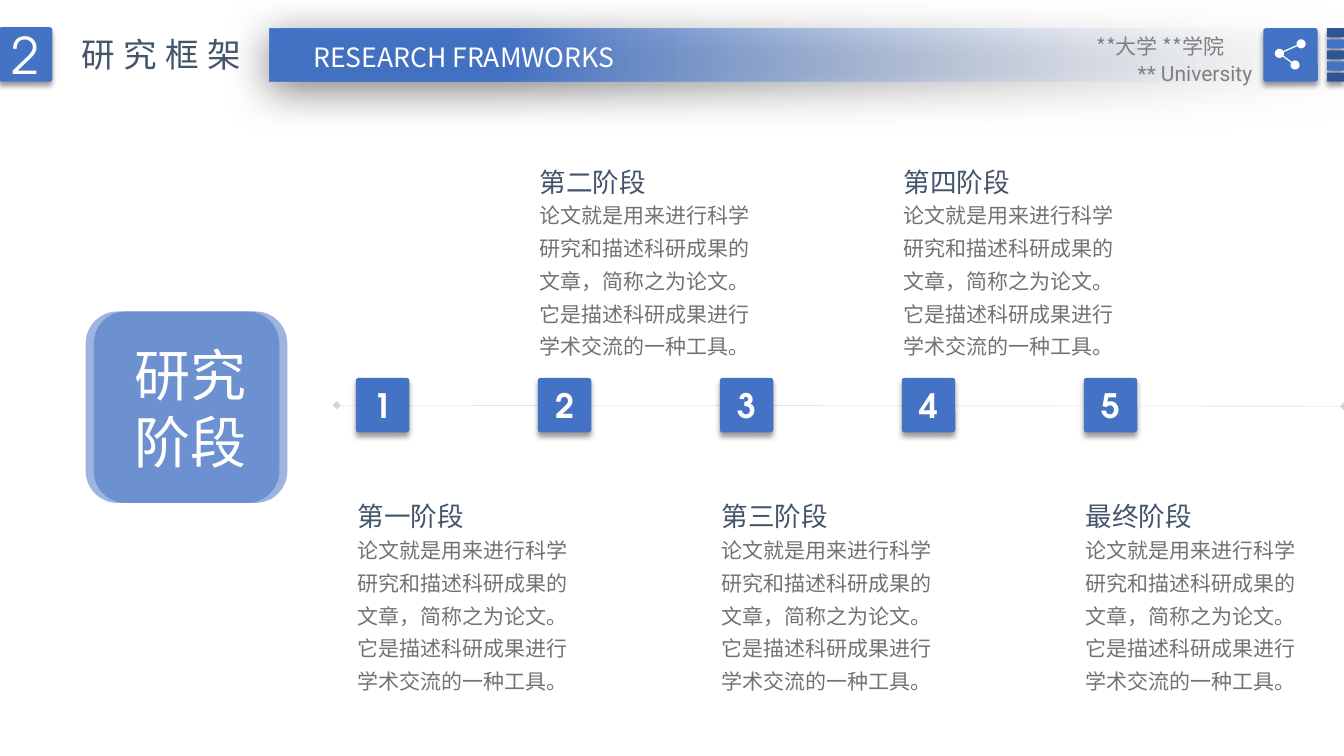
from math import atan2, cos, degrees, radians, sin

from lxml import etree
from pptx import Presentation
from pptx.dml.color import RGBColor
from pptx.enum.shapes import MSO_CONNECTOR, MSO_SHAPE
from pptx.enum.text import MSO_ANCHOR, MSO_AUTO_SIZE, PP_ALIGN
from pptx.oxml import parse_xml
from pptx.oxml.ns import qn
from pptx.util import Inches, Pt

RECTANGLE, ROUNDED = MSO_SHAPE.RECTANGLE, MSO_SHAPE.ROUNDED_RECTANGLE
LEFT, CENTER, RIGHT = PP_ALIGN.LEFT, PP_ALIGN.CENTER, PP_ALIGN.RIGHT
TOP, MIDDLE = MSO_ANCHOR.TOP, MSO_ANCHOR.MIDDLE
DRAWING = "http://schemas.openxmlformats.org/drawingml/2006/main"

# Content
SECTION_NUMBER = "2"
SECTION_TITLE = "研究框架"
BANNER_TEXT = "RESEARCH FRAMWORKS"
SCHOOL = "**大学 **学院"
UNIVERSITY = "** University"
TOPIC = ["研究", "阶段"]
STAGES = ["第一阶段", "第二阶段", "第三阶段", "第四阶段", "最终阶段"]
STAGE_TEXT = ("论文就是用来进行科学研究和描述科研成果的文章，简称之为论文。"
              "它是描述科研成果进行学术交流的一种工具。")

# Style
CJK, ROBOTO, DIGITS = "Noto Sans CJK SC", "Roboto", "TeX Gyre Adventor"
BLUE, DARK_BLUE, SLATE = "4472C4", "2F5597", "44546A"
WARM_GRAY, GRAY, WHITE, BLACK = "767171", "808080", "FFFFFF", "000000"
SMALL_SHADOW = {"alpha": 40, "blur": 4, "distance": 3, "angle": 90}
BANNER_SHADOW = {"alpha": 50, "blur": 31, "distance": 6, "angle": 97}

# Layout in inches
BADGE_WIDTH, BADGE_HEIGHT = 0.53, 0.54
FIRST_BADGE, LAST_BADGE, BADGE_TOP = 3.53, 10.75, 3.75
TEXT_OFFSET = -0.08
HEADING_TOPS = [4.82, 1.5]
BODY_OFFSET = 0.39
BAR_TOP, BAR_PITCH, BAR_COUNT = 0.28, 0.11, 5
NODE_RADIUS, LINK_GAP = 0.045, 8
TOP_NODE, LEFT_NODE, BOTTOM_NODE = (12.905, 0.435), (12.69, 0.53), (12.845, 0.645)

presentation = Presentation()
presentation.slide_width, presentation.slide_height = Inches(13.33), Inches(7.5)
slide = presentation.slides.add_slide(presentation.slide_layouts[6])


def color(hex_code):
    return RGBColor.from_string(hex_code)


def set_alpha(fill, percent):
    """Make the solid fill inside an element partly transparent."""
    solid = fill.find(qn("a:solidFill"))
    etree.SubElement(solid[0], qn("a:alpha"), val=str(percent * 1000))


def write(shape, lines, *, size, font, ink, align=LEFT, anchor=TOP, bold=False,
          spacing=None, tracking=None):
    frame = shape.text_frame
    frame.vertical_anchor = anchor
    for index, line in enumerate(lines):
        paragraph = frame.add_paragraph() if index else frame.paragraphs[0]
        paragraph.alignment = align
        if spacing:
            paragraph.line_spacing = spacing
        run = paragraph.add_run()
        run.text = line
        run.font.size, run.font.bold, run.font.name = Pt(size), bold, font
        run.font.color.rgb = color(ink)
        properties = run.font._element
        etree.SubElement(properties, qn("a:ea"), typeface=font)
        if tracking:
            properties.set("spc", str(tracking * 100))


def add_text(text, left, top, width, height, wrap=False, **style):
    box = slide.shapes.add_textbox(Inches(left), Inches(top), Inches(width), Inches(height))
    box.text_frame.word_wrap = wrap
    box.text_frame.auto_size = MSO_AUTO_SIZE.SHAPE_TO_FIT_TEXT
    write(box, [text], **style)
    return box


def add_block(kind, left, top, width, height, fill=BLUE, corner=None, shadow=None):
    shape = slide.shapes.add_shape(kind, Inches(left), Inches(top), Inches(width), Inches(height))
    shape.fill.solid()
    shape.fill.fore_color.rgb = color(fill)
    shape.line.fill.background()
    shape.shadow.inherit = False
    if corner is not None:
        shape.adjustments[0] = corner
    if shadow:
        effects = shape._element.spPr.find(qn("a:effectLst"))
        outer = etree.SubElement(
            effects, qn("a:outerShdw"), blurRad=str(Pt(shadow["blur"])),
            dist=str(Pt(shadow["distance"])), dir=str(shadow["angle"] * 60000),
            algn="t", rotWithShape="0")
        tone = etree.SubElement(outer, qn("a:srgbClr"), val=BLACK)
        etree.SubElement(tone, qn("a:alpha"), val=str(shadow["alpha"] * 1000))
    return shape


def add_tile(left, top, width=BADGE_WIDTH, height=BADGE_HEIGHT, fill=BLUE):
    return add_block(ROUNDED, left, top, width, height, fill, 0.05, SMALL_SHADOW)


def direction(start, end):
    return degrees(atan2(end[1] - start[1], end[0] - start[0]))


def arc(center, first, last, steps=16):
    angles = [radians(first + (last - first) * i / steps) for i in range(steps + 1)]
    return [(Inches(center[0] + NODE_RADIUS * cos(a)),
             Inches(center[1] + NODE_RADIUS * sin(a))) for a in angles]


# Topic block: two overlapping translucent squares
for left in (0.85, 0.93):
    topic = add_block(ROUNDED, left, 3.09, 1.92, 1.9)
    set_alpha(topic._element.spPr, 53)
write(topic, TOPIC, size=40, font=CJK, ink=WHITE, align=CENTER, anchor=MIDDLE)

# Timeline
timeline = slide.shapes.add_connector(
    MSO_CONNECTOR.STRAIGHT, Inches(3.34), Inches(4.02), Inches(13.33), Inches(4.03))
timeline.line.color.rgb = color(GRAY)
timeline.line.width = Pt(0.25)
line_element = timeline.line._get_or_add_ln()
set_alpha(line_element, 33)
for end in ("a:headEnd", "a:tailEnd"):
    etree.SubElement(line_element, qn(end), type="diamond")
etree.SubElement(timeline._element.spPr, qn("a:effectLst"))

# Stages, alternating below and above the timeline
pitch = (LAST_BADGE - FIRST_BADGE) / (len(STAGES) - 1)
for index, heading in enumerate(STAGES):
    left = FIRST_BADGE + index * pitch
    write(add_tile(left, BADGE_TOP), [str(index + 1)], size=24, font=DIGITS, ink=WHITE,
          bold=True, align=CENTER, anchor=MIDDLE)
    text_left, heading_top = left + TEXT_OFFSET, HEADING_TOPS[index % 2]
    add_text(STAGE_TEXT, text_left, heading_top + BODY_OFFSET, 2.42, 1.74, wrap=True,
             size=15, font=CJK, ink=WARM_GRAY, spacing=1.3)
    add_text(heading, text_left, heading_top, 1.35, 0.52,
             size=19, font=CJK, ink=SLATE, spacing=1.3)

# Header banner fading to the right
banner = add_block(RECTANGLE, 2.67, 0.28, 10.67, 0.53, shadow=BANNER_SHADOW)
banner_properties = banner._element.spPr
gradient = parse_xml(
    f'<a:gradFill xmlns:a="{DRAWING}" rotWithShape="1"><a:gsLst>'
    '<a:gs pos="0"><a:srgbClr val="F7FAFD"><a:alpha val="0"/></a:srgbClr></a:gs>'
    f'<a:gs pos="78000"><a:srgbClr val="{BLUE}"/></a:gs>'
    '</a:gsLst><a:lin ang="10800000" scaled="0"/></a:gradFill>')
banner_properties.replace(banner_properties.find(qn("a:solidFill")), gradient)

# Header texts
write(add_tile(-0.01, 0.27), [SECTION_NUMBER], size=36, font=DIGITS, ink=WHITE,
      align=CENTER, anchor=MIDDLE)
add_text(SECTION_TITLE, 0.71, 0.29, 1.88, 0.5, size=24, font=CJK, ink=SLATE, tracking=6)
add_text(BANNER_TEXT, 2.9, 0.36, 3.4, 0.42, size=19, font=CJK, ink=WHITE, align=CENTER)

# Striped bars at the right edge
for index in range(BAR_COUNT):
    add_tile(13.16, BAR_TOP + index * BAR_PITCH, 0.17, 0.09,
             BLUE if index % 2 else DARK_BLUE)

# Share icon: one outline around three linked nodes
add_tile(12.53, 0.28, BADGE_HEIGHT, BADGE_WIDTH)
to_top, to_bottom = direction(LEFT_NODE, TOP_NODE), direction(LEFT_NODE, BOTTOM_NODE)
outline = (
    arc(TOP_NODE, to_top + 180 + LINK_GAP, to_top + 540 - LINK_GAP)
    + arc(LEFT_NODE, to_top + LINK_GAP, to_bottom - LINK_GAP)
    + arc(BOTTOM_NODE, to_bottom + 180 + LINK_GAP, to_bottom + 540 - LINK_GAP)
    + arc(LEFT_NODE, to_bottom + LINK_GAP, to_top + 360 - LINK_GAP))
builder = slide.shapes.build_freeform(*outline[0])
builder.add_line_segments(outline[1:], close=True)
share_icon = builder.convert_to_shape()
share_icon.fill.solid()
share_icon.fill.fore_color.rgb = color(WHITE)
share_icon.line.fill.background()
share_icon.shadow.inherit = False

# School name, its first line set in from the right
add_text(SCHOOL, 10.15, 0.28, 2.09, 0.35, wrap=True,
         size=15, font=CJK, ink=GRAY, align=RIGHT)
add_text(UNIVERSITY, 10.15, 0.55, 2.37, 0.35, wrap=True,
         size=15, font=ROBOTO, ink=GRAY, align=RIGHT)

presentation.save("out.pptx")
